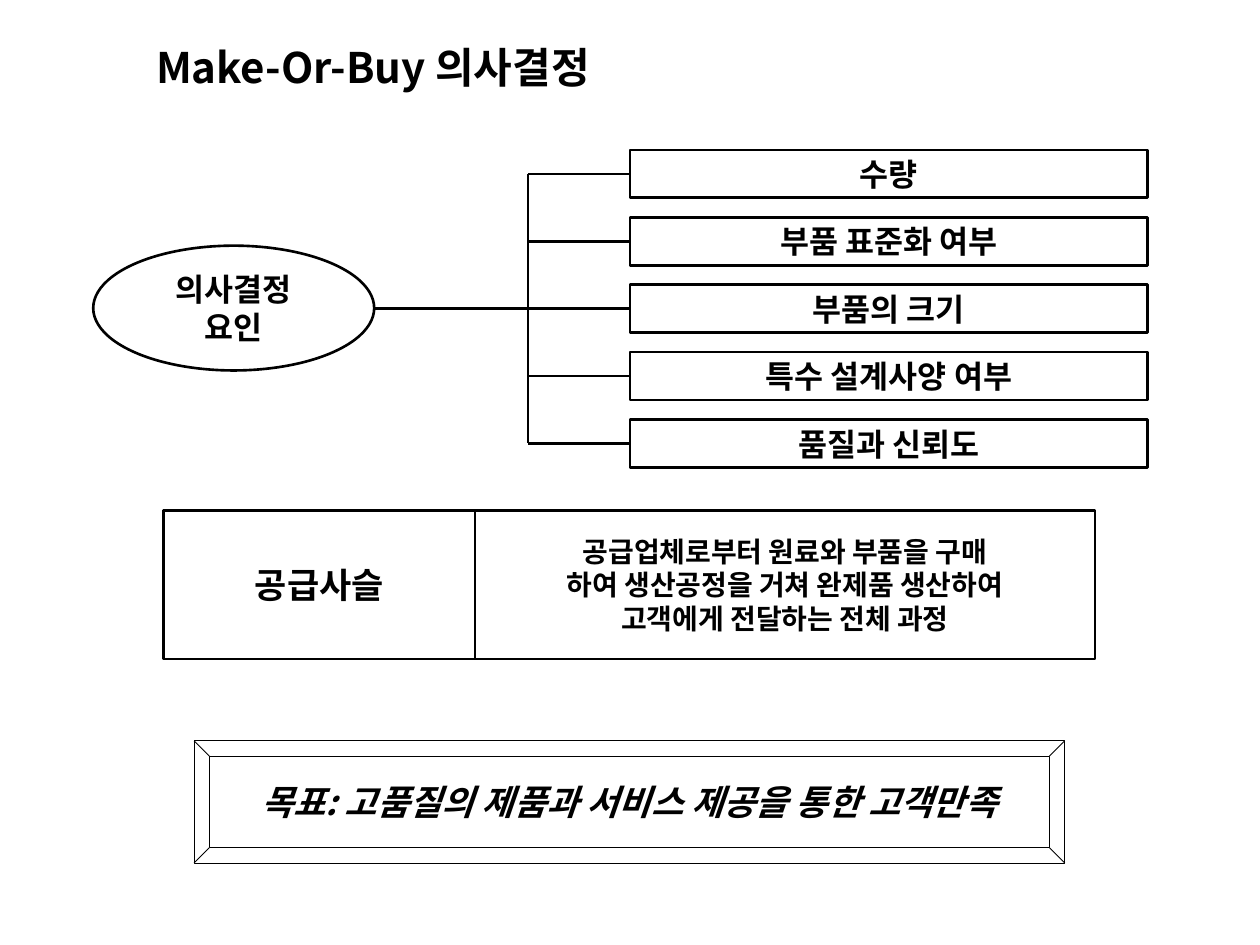
from dataclasses import dataclass

from lxml.etree import SubElement
from pptx import Presentation
from pptx.dml.color import RGBColor
from pptx.enum.shapes import MSO_CONNECTOR as Conn, MSO_SHAPE as Geo
from pptx.enum.text import MSO_ANCHOR as Anchor, MSO_AUTO_SIZE as AutoSize, PP_ALIGN as Align
from pptx.oxml.ns import qn
from pptx.util import Inches, Pt


@dataclass(frozen=True)
class Theme:
    font: str = "Noto Sans CJK KR"
    ink: RGBColor = RGBColor(0, 0, 0)
    paper: RGBColor = RGBColor(255, 255, 255)
    title: int = 24
    large: int = 20
    label: int = 18
    body: int = 16
    line: float = 1.5
    thin: float = 0.5


@dataclass(frozen=True)
class Box:
    text: str
    left: float
    top: float
    width: float
    height: float
    size: int
    geo: Geo = Geo.RECTANGLE
    line: float = 1.5
    filled: bool = True
    italic: bool = False


THEME = Theme()


def write(tf, text: str, size: int, align: Align, italic: bool = False) -> None:
    p = tf.paragraphs[0]
    p.text = text
    p.alignment = align
    font = p.font
    font.size, font.bold = Pt(size), True
    if italic:
        font.italic = True
    font.color.rgb = THEME.ink
    font.name = THEME.font
    # East Asian text takes its typeface from a:ea
    def_rpr = p._p.pPr.find(qn("a:defRPr"))
    SubElement(def_rpr, qn("a:ea")).set("typeface", THEME.font)


def add_box(shapes, box: Box):
    s = shapes.add_shape(box.geo, Inches(box.left), Inches(box.top),
                         Inches(box.width), Inches(box.height))
    s.shadow.inherit = False
    if box.filled:
        s.fill.solid()
        s.fill.fore_color.rgb = THEME.paper
    else:
        s.fill.background()
    s.line.color.rgb = THEME.ink
    s.line.width = Pt(box.line)
    tf = s.text_frame
    tf.word_wrap = True
    tf.vertical_anchor = Anchor.MIDDLE
    write(tf, box.text, box.size, Align.CENTER, box.italic)
    return s


def add_line(shapes, x1: float, y1: float, x2: float, y2: float) -> None:
    s = shapes.add_connector(Conn.STRAIGHT, Inches(x1), Inches(y1), Inches(x2), Inches(y2))
    s.line.color.rgb = THEME.ink
    s.line.width = Pt(THEME.line)
    SubElement(s._element.spPr, qn("a:effectLst"))


def main() -> None:
    prs = Presentation()
    prs.slide_width, prs.slide_height = Inches(10), Inches(7.5)
    shapes = prs.slides.add_slide(prs.slide_layouts[6]).shapes

    # Title
    tf = shapes.add_textbox(Inches(1.14), Inches(0.28), Inches(4.4), Inches(0.5)).text_frame
    tf.word_wrap = True
    tf.auto_size = AutoSize.SHAPE_TO_FIT_TEXT
    write(tf, "Make-Or-Buy 의사결정", THEME.title, Align.LEFT)

    # Decision factors: root ellipse and evenly spaced boxes
    root = Box("의사결정\v요인", 0.74, 1.95, 2.23, 0.99, THEME.label, Geo.OVAL)
    add_box(shapes, root)
    factors = ["수량", "부품 표준화 여부", "부품의 크기", "특수 설계사양 여부", "품질과 신뢰도"]
    left, top, pitch, height = 5, 1.19, 0.535, 0.38
    for i, factor in enumerate(factors):
        add_box(shapes, Box(factor, left, top + i * pitch, 4.11, height, THEME.label))

    # Tree lines: the middle branch reaches back to the root
    trunk = 4.19
    levels = [top + height / 2 + i * pitch for i in range(len(factors))]
    for i, y in enumerate(levels):
        start = root.left + root.width if i == len(levels) // 2 else trunk
        add_line(shapes, start, y, left, y)
    add_line(shapes, trunk, levels[0], trunk, levels[-1])

    # Supply chain term and definition
    group = shapes.add_group_shape()
    definition = ("공급업체로부터 원료와 부품을 구매\v"
                  "하여 생산공정을 거쳐 완제품 생산하여\v"
                  "고객에게 전달하는 전체 과정")
    add_box(group.shapes, Box("공급사슬", 1.3, 4.05, 2.47, 1.18, THEME.large))
    add_box(group.shapes, Box(definition, 3.77, 4.05, 4.92, 1.18, THEME.body))

    # Goal
    add_box(shapes, Box("목표: 고품질의 제품과 서비스 제공을 통한 고객만족", 1.54, 5.88, 6.91, 0.97,
                        THEME.large, Geo.BEVEL, THEME.thin, filled=False, italic=True))

    prs.save("out.pptx")


if __name__ == "__main__":
    main()
